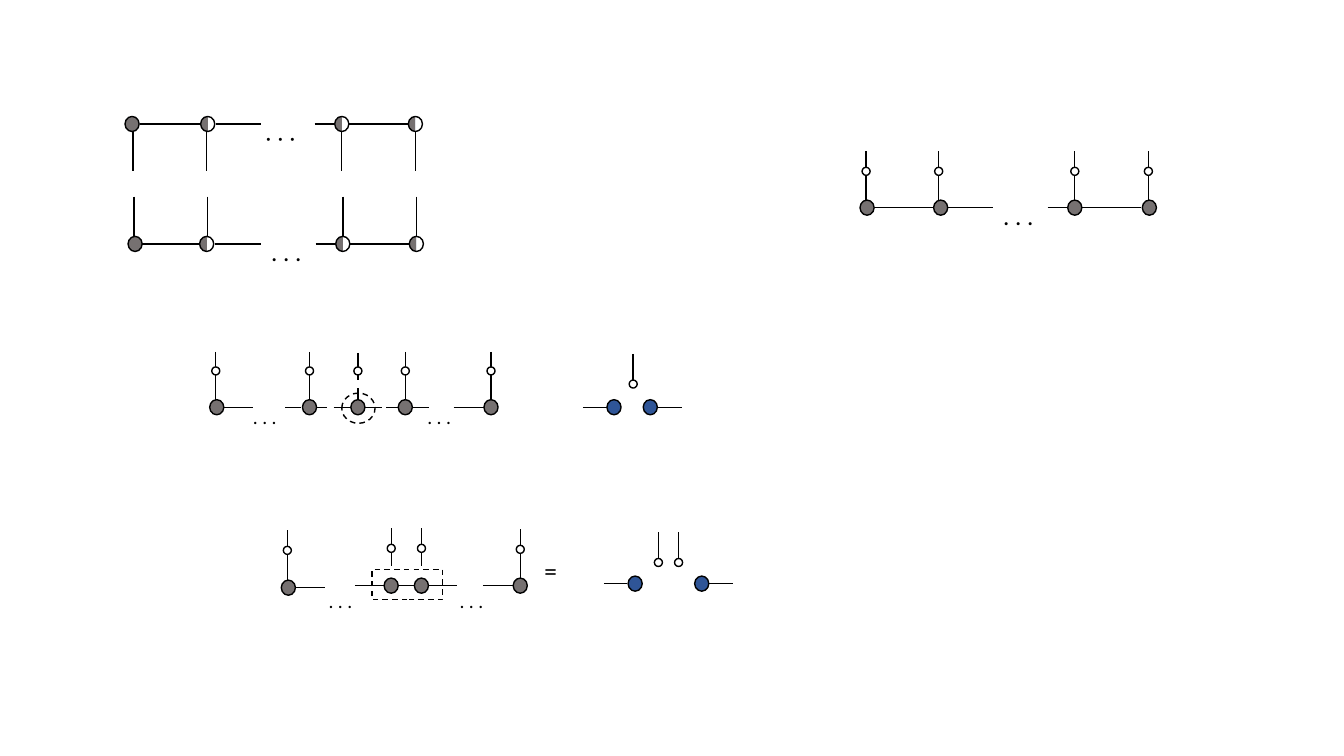
from dataclasses import dataclass
from typing import Optional

from lxml.etree import SubElement
from pptx import Presentation
from pptx.dml.color import RGBColor
from pptx.enum.dml import MSO_LINE
from pptx.enum.shapes import MSO_CONNECTOR, MSO_SHAPE
from pptx.enum.text import MSO_AUTO_SIZE
from pptx.oxml.ns import qn
from pptx.util import Inches, Pt

# The grid: every column and every row is a tenth of an inch.
CELL = Inches(0.1)
COLUMNS, ROWS = 133.3, 75
NODE_WIDTH, NODE_HEIGHT, RING = 1.4, 1.5, 0.8

BLACK, WHITE, GREY, BLUE = "000000", "FFFFFF", "767171", "2F5597"
HALF = "half"
HALF_STOPS = ((50, GREY), (51, "F6F8FC"), (53, WHITE), (75, WHITE), (76, WHITE))

Span = tuple[float, float]


@dataclass(frozen=True)
class Legs:
    """Equal vertical legs, each passing through an optional ring."""
    columns: tuple[float, ...]
    spans: tuple[Span, ...]
    ring_row: Optional[float] = None


@dataclass(frozen=True)
class Chain:
    """Nodes on one row, the wires between them and their legs."""
    row: float
    nodes: tuple[float, ...]
    tones: tuple[str, ...]
    wires: tuple[Span, ...]
    legs: tuple[Legs, ...] = ()


@dataclass(frozen=True)
class Label:
    text: str
    left: float
    top: float
    width: float
    height: float
    size: int
    rotation: int = 0


@dataclass(frozen=True)
class Frame:
    kind: MSO_SHAPE
    left: float
    top: float
    width: float
    height: float


UPPER_LEG, LOWER_LEG = (34.9, 36.4), (37.2, 39.7)
CHAINS = (
    Chain(12.3, (13.1, 20.6, 33.9, 41.2), (GREY, HALF, HALF, HALF),
          ((13.9, 19.8), (21.4, 25.9), (31.2, 33.2), (34.5, 40.5)),
          (Legs((13.2, 20.5, 33.9, 41.2), ((12.9, 17),)),)),
    Chain(24.2, (13.4, 20.5, 34, 41.3), (GREY, HALF, HALF, HALF),
          ((14, 20), (21.3, 25.9), (31.3, 33.3), (34.7, 40.6)),
          (Legs((13.3, 20.6, 34, 41.3), ((19.5, 23.5),)),)),
    Chain(20.6, (86, 93.3, 106.6, 114), (GREY,) * 4,
          ((86.6, 92.6), (93.9, 98.5), (103.9, 105.9), (107.3, 113.2)),
          (Legs((85.9, 93.1, 106.6, 113.9), ((15, 16.6), (17.4, 19.9)), 17),)),
    Chain(40.4, (21.5, 30.7, 35.5, 40.2, 48.7), (GREY,) * 5,
          ((22.1, 25.1), (28.3, 29.9), (31.4, 32.4), (33.1, 34.8),
           (36.1, 37.9), (38.3, 39.5), (40.8, 42.5), (45, 48)),
          (Legs((21.4, 30.7, 40.2, 48.7), (UPPER_LEG, LOWER_LEG), 36.8),
           Legs((35.5,), ((35, 37.7), (38.5, 39.6)), 36.8))),
    Chain(40.4, (60.9, 64.5), (BLUE, BLUE), ((57.8, 60.2), (65.2, 67.6)),
          (Legs((62.8,), ((35.1, 37.7),), 38.1),)),
    Chain(58.3, (28.6,), (GREY,), ((29.2, 32.2),),
          (Legs((28.5,), ((52.6, 54.2), (55, 57.5)), 54.6),)),
    Chain(58.1, (38.8, 41.8, 51.6), (GREY,) * 3,
          ((35.2, 38.1), (39.6, 41.1), (42.4, 45.3), (47.9, 50.9)),
          (Legs((38.8, 41.8), ((52.4, 54), (54.8, 56.2)), 54.4),
           Legs((51.6,), ((52.5, 54.1), (54.9, 57.4)), 54.5))),
    Chain(57.9, (63, 69.6), (BLUE, BLUE), ((59.9, 62.2), (70.3, 72.7)),
          (Legs((65.3, 67.3), ((52.8, 55.4),), 55.8),)),
)
DOTS = ". . ."
LABELS = (
    Label(DOTS, 24.7, 12.7, 5.6, 4, 18, 180),
    Label(DOTS, 25.9, 23, 5.6, 4, 18),
    Label(DOTS, 98.5, 19.4, 5.6, 4, 18),
    *(Label(DOTS, left, top, 4.8, 3.4, 14)
      for left, top in ((24.1, 39.7), (41.4, 39.7), (31.6, 57.9), (44.6, 57.9))),
    Label("=", 53, 54.6, 3.3, 4, 18),
)
FRAMES = (
    Frame(MSO_SHAPE.OVAL, 33.9, 39, 3.3, 3),
    Frame(MSO_SHAPE.RECTANGLE, 36.9, 56.5, 7, 3),
)


def cells(*counts: float) -> list[int]:
    """Turn counts of grid cells into lengths."""
    return [round(count * CELL) for count in counts]


def colour(code: str) -> RGBColor:
    return RGBColor.from_string(code)


def apply_format(target, values: dict) -> None:
    for name, value in values.items():
        setattr(target, name, value)


def style_line(line) -> None:
    line.color.rgb = colour(BLACK)
    line.width = Pt(1)


def fill_half(shape) -> None:
    """Fill the left half grey and the right half white."""
    shape.fill.gradient()
    shape.fill.gradient_angle = 0
    stops = shape._element.spPr.find(qn("a:gradFill")).find(qn("a:gsLst"))
    stops.clear()
    for percent, code in HALF_STOPS:
        stop = SubElement(stops, qn("a:gs"), pos=str(percent * 1000))
        SubElement(stop, qn("a:srgbClr"), val=code)


def draw_wire(page, start: Span, end: Span) -> None:
    wire = page.shapes.add_connector(MSO_CONNECTOR.STRAIGHT, *cells(*start, *end))
    style_line(wire.line)
    SubElement(wire._element.spPr, qn("a:effectLst"))


def draw_disc(page, column: float, row: float, width: float, height: float, tone: str) -> None:
    """Draw an oval centred on a grid point."""
    disc = page.shapes.add_shape(
        MSO_SHAPE.OVAL, *cells(column - width / 2, row - height / 2, width, height))
    disc.shadow.inherit = False
    style_line(disc.line)
    if tone == HALF:
        fill_half(disc)
    else:
        disc.fill.solid()
        disc.fill.fore_color.rgb = colour(tone)


def draw_chain(page, chain: Chain) -> None:
    for start, end in chain.wires:
        draw_wire(page, (start, chain.row), (end, chain.row))
    for legs in chain.legs:
        for column in legs.columns:
            for top, bottom in legs.spans:
                draw_wire(page, (column, top), (column, bottom))
            if legs.ring_row is not None:
                draw_disc(page, column, legs.ring_row, RING, RING, WHITE)
    for column, tone in zip(chain.nodes, chain.tones):
        draw_disc(page, column, chain.row, NODE_WIDTH, NODE_HEIGHT, tone)


def draw_frame(page, frame: Frame) -> None:
    outline = page.shapes.add_shape(
        frame.kind, *cells(frame.left, frame.top, frame.width, frame.height))
    outline.shadow.inherit = False
    outline.fill.background()
    style_line(outline.line)
    outline.line.dash_style = MSO_LINE.DASH


def draw_label(page, label: Label) -> None:
    box = page.shapes.add_textbox(*cells(label.left, label.top, label.width, label.height))
    box.rotation = label.rotation
    apply_format(box.text_frame, {"word_wrap": False,
                                  "auto_size": MSO_AUTO_SIZE.SHAPE_TO_FIT_TEXT})
    span = box.text_frame.paragraphs[0].add_run()
    span.text = label.text
    apply_format(span.font, {"name": "Calibri", "size": Pt(label.size)})
    span.font.color.rgb = colour(BLACK)


def main() -> None:
    deck = Presentation()
    deck.slide_width, deck.slide_height = cells(COLUMNS, ROWS)
    page = deck.slides.add_slide(deck.slide_layouts[6])
    for chain in CHAINS:
        draw_chain(page, chain)
    for frame in FRAMES:
        draw_frame(page, frame)
    for label in LABELS:
        draw_label(page, label)
    deck.save("out.pptx")


if __name__ == "__main__":
    main()
